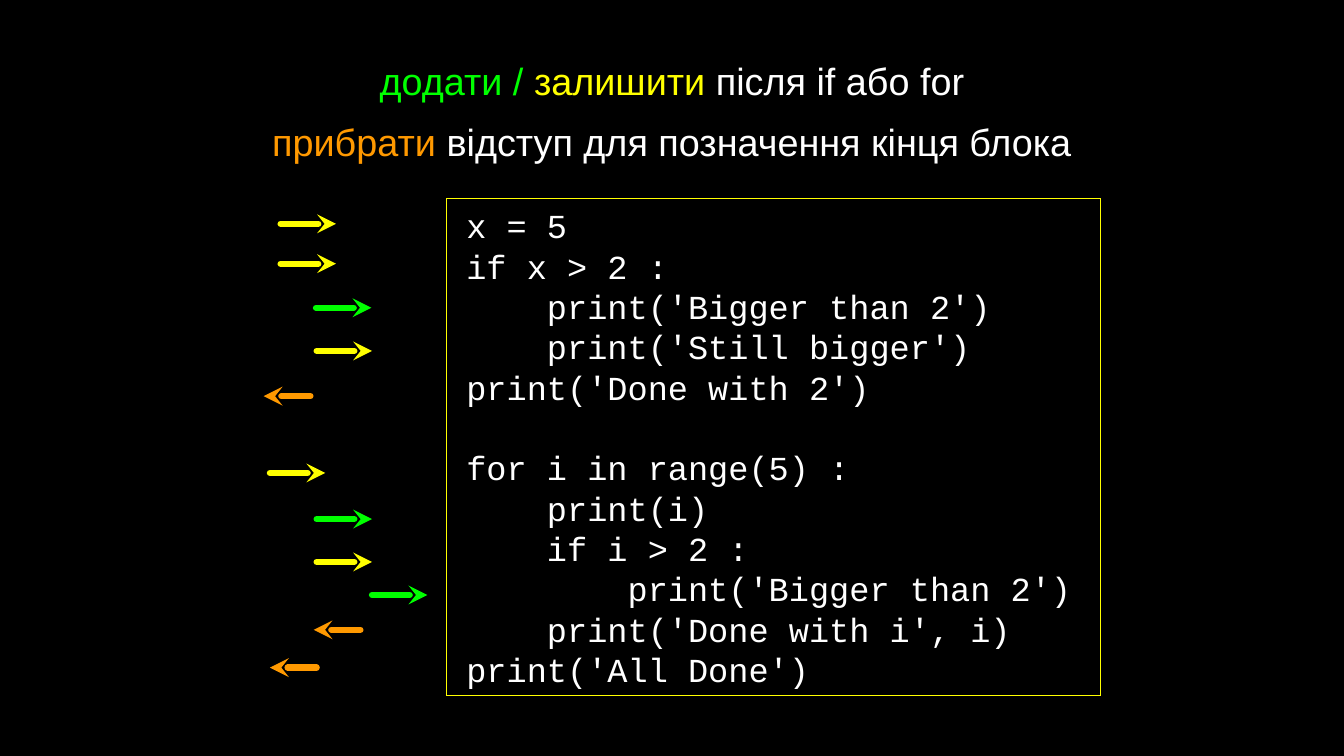
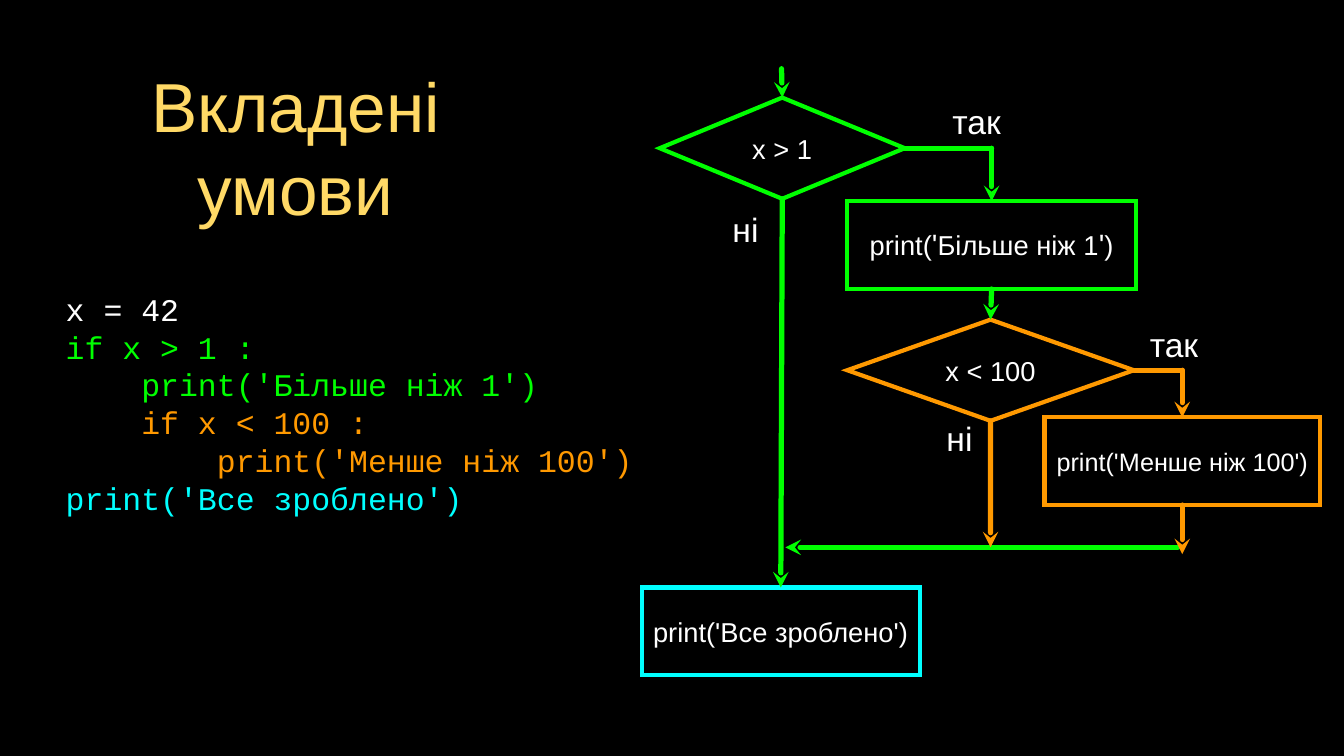
from dataclasses import dataclass
from typing import Any, Optional

import pptx
import pptx.dml.color
import pptx.enum.shapes
import pptx.enum.text
import pptx.oxml
import pptx.oxml.ns
import pptx.util

Cm = pptx.util.Cm
Pt = pptx.util.Pt
PRESET = pptx.enum.shapes.MSO_SHAPE
ALIGN = pptx.enum.text.PP_ALIGN
TOP, LEFT, BOTTOM, RIGHT = range(4)


@dataclass(frozen=True)
class Theme:
    background: str = "000000"
    text: str = "FFFFFF"
    heading: str = "FFD966"
    green: str = "00FF00"
    yellow: str = "FFFF00"
    orange: str = "FF9900"
    cyan: str = "00FFFF"
    sans: str = "Arial"
    mono: str = "Courier New"
    heading_size: int = 66
    rule_size: int = 36
    label_size: int = 32
    listing_size: int = 32
    example_size: int = 30
    quote_size: int = 28
    node_size: int = 26
    small_node_size: int = 24
    leading: float = 1.2
    indent_arrow_width: int = 6
    flow_width: int = 5
    node_width: int = 4


THEME = Theme()


@dataclass
class Span:
    text: str
    color: str = THEME.text
    size: Optional[int] = None


@dataclass
class Joint:
    """The middle of one side of a flowchart node."""
    node: Any
    side: int

    def point(self):
        node = self.node
        x = {LEFT: 0, RIGHT: node.width}.get(self.side, node.width / 2)
        y = {TOP: 0, BOTTOM: node.height}.get(self.side, node.height / 2)
        return (node.left + x) / Cm(1), (node.top + y) / Cm(1)


def rgb(color):
    return pptx.dml.color.RGBColor.from_string(color)


def write(frame, paragraphs, size, font=THEME.sans, align=ALIGN.CENTER,
          inset=0.0, left_inset=None):
    """Fill a frame with paragraphs, each a list of spans."""
    frame.word_wrap = True
    frame.auto_size = pptx.enum.text.MSO_AUTO_SIZE.NONE
    frame.vertical_anchor = pptx.enum.text.MSO_ANCHOR.MIDDLE
    frame.margin_top = frame.margin_right = frame.margin_bottom = Cm(inset)
    frame.margin_left = Cm(inset if left_inset is None else left_inset)
    for number, spans in enumerate(paragraphs):
        paragraph = frame.add_paragraph() if number else frame.paragraphs[0]
        paragraph.alignment = align
        paragraph.line_spacing = Pt(size * THEME.leading)
        for span in spans:
            run = paragraph.add_run()
            run.text = span.text
            run.font.name = font
            run.font.size = Pt(span.size or size)
            run.font.bold = False
            run.font.color.rgb = rgb(span.color)


def add_title(slide, box, paragraphs, size, inset=0.0):
    title = slide.shapes.title
    title.left, title.top, title.width, title.height = map(Cm, box)
    write(title.text_frame, paragraphs, size, inset=inset)
    return title


def add_text(slide, box, paragraphs, size, **style):
    text = slide.shapes.add_textbox(*map(Cm, box))
    write(text.text_frame, paragraphs, size, **style)


def add_outline(slide, preset, box, color, width):
    shape = slide.shapes.add_shape(preset, *map(Cm, box))
    shape.shadow.inherit = False
    shape.fill.background()
    shape.line.color.rgb = rgb(color)
    shape.line.width = Pt(width)
    pptx.oxml.ns  # namespace helpers for the join below
    add_xml(shape._element.spPr.get_or_add_ln(), "miter", lim="800000")
    return shape


def add_xml(parent, tag, **attributes):
    child = pptx.oxml.parse_xml(
        f"<a:{tag} {pptx.oxml.ns.nsdecls('a')}/>")
    for name, value in attributes.items():
        child.set(name, value)
    parent.append(child)


def add_node(slide, preset, box, color, spans, size=THEME.node_size):
    node = add_outline(slide, preset, box, color, THEME.node_width)
    write(node.text_frame, [spans], size)
    return node


def add_line(slide, start, end, color, width=THEME.flow_width, arrow=True):
    """Draw a line between two ends, each a point in cm or a Joint."""
    points = [place.point() if isinstance(place, Joint) else place
              for place in (start, end)]
    line = slide.shapes.add_connector(
        pptx.enum.shapes.MSO_CONNECTOR.STRAIGHT,
        *(Cm(length) for point in points for length in point))
    if isinstance(start, Joint):
        line.begin_connect(start.node, start.side)
    if isinstance(end, Joint):
        line.end_connect(end.node, end.side)
    line.line.color.rgb = rgb(color)
    line.line.width = Pt(width)
    outline = line._element.spPr.get_or_add_ln()
    outline.set("cap", "rnd")
    add_xml(outline, "round")
    if arrow:
        add_xml(outline, "tailEnd", type="stealth")
    add_xml(line._element.spPr, "effectLst")


def build_indents(slide):
    title = add_title(slide, (8, 1.3, 29.16, 4.85), [
        [Span("додати / ", THEME.green), Span("залишити ", THEME.yellow),
         Span("після if або for")],
        [Span("прибрати ", THEME.orange),
         Span("відступ для позначення кінця блока")],
    ], THEME.rule_size)
    title.text_frame.paragraphs[1].space_before = Pt(14.4)

    code = [
        "x = 5",
        "if x > 2 :",
        "    print('Bigger than 2')",
        "    print('Still bigger')",
        "print('Done with 2')",
        "for i in range(5) :",
        "    print(i)",
        "    if i > 2 :",
        "        print('Bigger than 2')",
        "    print('Done with i', i)",
        "print('All Done')",
    ]
    listing = add_outline(slide, PRESET.RECTANGLE, (14.99, 6.68, 22, 16.69),
                          THEME.yellow, 1)
    write(listing.text_frame, [[Span(row)] for row in code],
          THEME.listing_size, font=THEME.mono, align=ALIGN.LEFT,
          left_inset=0.68)
    loop_start = listing.text_frame.paragraphs[code.index("for i in range(5) :")]
    loop_start.space_before = Pt(THEME.listing_size * THEME.leading)

    keep, add, remove = THEME.yellow, THEME.green, THEME.orange
    steps = [
        (keep, 9.43, 7.52), (keep, 9.43, 8.86), (add, 10.62, 10.34),
        (keep, 10.64, 11.79), (remove, 8.86, 13.31), (keep, 9.07, 15.89),
        (add, 10.64, 17.44), (keep, 10.64, 18.88), (add, 12.5, 19.99),
        (remove, 10.54, 21.16), (remove, 9.07, 22.43),
    ]
    for action, left, y in steps:
        if action == remove:
            start, end = left + 1.57, left
        else:
            start, end = left, left + 1.86
        add_line(slide, (start, y), (end, y), action,
                 THEME.indent_arrow_width)


def build_nested_conditions(slide):
    green, orange, cyan = THEME.green, THEME.orange, THEME.cyan
    add_title(slide, (3.25, 1.9, 13.36, 6.02),
              [[Span("Вкладені умови", THEME.heading)]],
              THEME.heading_size, inset=0.1)
    add_text(slide, (2.21, 8.92, 19.3, 9.25), [
        [Span("x = 42")],
        [Span("if x > 1 :", green)],
        [Span("    print('Більше ніж 1')", green)],
        [Span("    if x < 100 :", orange)],
        [Span("        print('Менше ніж 100')", orange)],
        [Span("print('Все зроблено')", cyan)],
    ], THEME.example_size, font=THEME.mono, align=ALIGN.LEFT)

    above_one = add_node(slide, PRESET.DIAMOND, (22.17, 3.28, 8.23, 3.4),
                         green, [Span("x > 1")])
    quote = Span("'", size=THEME.quote_size)
    print_more = add_node(
        slide, PRESET.RECTANGLE, (28.47, 6.76, 9.7, 2.95), green,
        [Span("print("), quote, Span("Більше ніж 1"), quote, Span(")")])
    below_hundred = add_node(slide, PRESET.DIAMOND, (28.47, 10.74, 9.63, 3.4),
                             orange, [Span("x < 100")])
    print_less = add_node(slide, PRESET.RECTANGLE, (35.1, 14.02, 9.25, 2.95),
                          orange, [Span("print('Менше ніж 100')")],
                          THEME.small_node_size)
    print_done = add_node(slide, PRESET.RECTANGLE, (21.56, 19.74, 9.35, 2.95),
                          cyan, [Span("print('Все зроблено')")])

    add_line(slide, (26.26, 2.31), Joint(above_one, TOP), green)
    for condition, branch, color in ((above_one, print_more, green),
                                     (below_hundred, print_less, orange)):
        yes, entry = Joint(condition, RIGHT), Joint(branch, TOP)
        corner = entry.point()[0], yes.point()[1]
        add_line(slide, yes, corner, color, arrow=False)
        add_line(slide, corner, entry, color)
    add_line(slide, Joint(above_one, BOTTOM), Joint(print_done, TOP), green)
    add_line(slide, Joint(print_more, BOTTOM), Joint(below_hundred, TOP), green)

    merge_y = 18.39
    add_line(slide, (39.57, merge_y), (26.39, merge_y), green)
    for node, end_y in ((below_hundred, merge_y), (print_less, 18.62)):
        leave = Joint(node, BOTTOM)
        add_line(slide, leave, (leave.point()[0], end_y), orange)

    for answer, left, top, width in (
            ("так", 31.55, 3.43, 2.54), ("так", 38.18, 10.9, 2.54),
            ("ні", 31.62, 14.07, 1.24), ("ні", 24.43, 7.06, 1.24)):
        add_text(slide, (left, top, width, 1.3), [[Span(answer)]],
                 THEME.label_size)


def main():
    deck = pptx.Presentation()
    deck.slide_width, deck.slide_height = Cm(45.16), Cm(25.4)
    background = deck.slide_master.background.fill
    background.solid()
    background.fore_color.rgb = rgb(THEME.background)
    title_only = deck.slide_layouts.get_by_name("Title Only")
    for build in (build_indents, build_nested_conditions):
        build(deck.slides.add_slide(title_only))
    deck.save("out.pptx")


if __name__ == "__main__":
    main()
